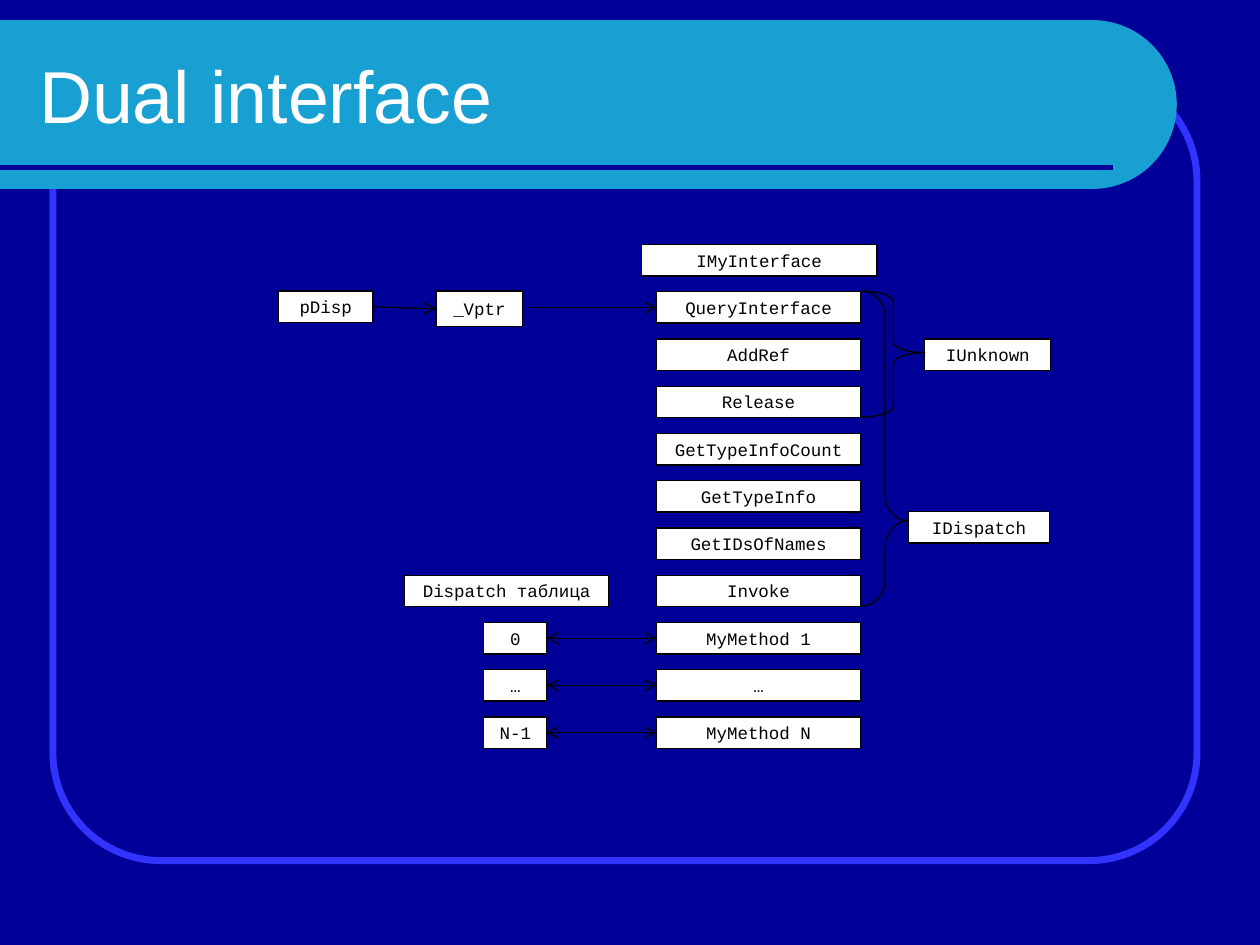
import math

from pptx import Presentation
from pptx.dml.color import RGBColor
from pptx.enum.shapes import MSO_CONNECTOR, MSO_SHAPE
from pptx.enum.text import MSO_ANCHOR, PP_ALIGN
from pptx.oxml.ns import qn
from pptx.util import Inches, Pt

RECTANGLE = MSO_SHAPE.RECTANGLE
ROUNDED = MSO_SHAPE.ROUNDED_RECTANGLE
RIGHT_BRACE = MSO_SHAPE.RIGHT_BRACE
STRAIGHT = MSO_CONNECTOR.STRAIGHT
LEFT_SIDE, RIGHT_SIDE = 1, 3

COLORS = {
    "navy": "000099",
    "band": "17A0D1",
    "frame": "3333FF",
    "white": "FFFFFF",
    "black": "000000",
}
COLORS = {name: RGBColor.from_string(value) for name, value in COLORS.items()}

FIRST_ROW, ROW_STEP, BOX_HEIGHT = 1.94, 0.375, 0.25
METHOD_LEFT, METHOD_WIDTH = 5.21, 1.62

deck = Presentation()
deck.slide_width, deck.slide_height = Inches(10), Inches(7.5)
page = deck.slides.add_slide(deck.slide_layouts[5])
page.background.fill.solid()
page.background.fill.fore_color.rgb = COLORS["navy"]
shapes = page.shapes


def add_box(text, left, top, width, height=BOX_HEIGHT, size=10, font="Courier New"):
    box = shapes.add_shape(RECTANGLE, Inches(left), Inches(top), Inches(width), Inches(height))
    box.shadow.inherit = False
    box.fill.solid()
    box.fill.fore_color.rgb = COLORS["white"]
    box.line.color.rgb = COLORS["black"]
    box.line.width = Pt(0.75)
    frame = box.text_frame
    frame.word_wrap = True
    frame.vertical_anchor = MSO_ANCHOR.MIDDLE
    para = frame.paragraphs[0]
    para.alignment = PP_ALIGN.CENTER
    span = para.add_run()
    span.text = text
    span.font.size = Pt(size)
    span.font.name = font
    span.font.color.rgb = COLORS["black"]
    return box


def add_line(start, end, color="black", width=0.75, arrows=()):
    line = shapes.add_connector(STRAIGHT, *(Inches(value) for value in start + end))
    line.line.color.rgb = COLORS[color]
    line.line.width = Pt(width)
    for arrow in arrows:
        tip = line.line._get_or_add_ln().makeelement(qn(f"a:{arrow}"), {"type": "arrow"})
        line.line._get_or_add_ln().append(tip)
    properties = line._element.spPr
    properties.append(properties.makeelement(qn("a:effectLst"), {}))
    return line


frame = shapes.add_shape(ROUNDED, Inches(0.42), Inches(0.58), Inches(9.08), Inches(6.25))
frame.adjustments[0] = 0.137
frame.shadow.inherit = False
frame.fill.background()
frame.line.color.rgb = COLORS["frame"]
frame.line.width = Pt(4)

radius, center_x, center_y = 0.67, 8.67, 0.83
angles = [math.radians(degrees) for degrees in range(-90, 91, 3)]
arc = [
    (Inches(center_x + radius * math.cos(angle)), Inches(center_y + radius * math.sin(angle)))
    for angle in angles
]
builder = shapes.build_freeform(0, arc[0][1])
builder.add_line_segments(arc + [(0, arc[-1][1])], close=True)
band = builder.convert_to_shape()
band.shadow.inherit = False
band.fill.solid()
band.fill.fore_color.rgb = COLORS["band"]
band.line.fill.background()

underline = add_line((0, 1.33), (8.83, 1.33), color="navy", width=3)

title = shapes.title
title.left, title.top, title.width, title.height = (
    Inches(value) for value in (0.21, 0.25, 8.77, 1)
)
title.text_frame.vertical_anchor = MSO_ANCHOR.MIDDLE
title.text_frame.text = "Dual interface"
para = title.text_frame.paragraphs[0]
para.alignment = PP_ALIGN.LEFT
para.font.size = Pt(42)
para.font.name = "Arial"
para.font.color.rgb = COLORS["white"]
underline._element.addnext(title._element)

add_box("IMyInterface", 5.09, FIRST_ROW, 1.87)
methods = [
    "QueryInterface", "AddRef", "Release", "GetTypeInfoCount", "GetTypeInfo",
    "GetIDsOfNames", "Invoke", "MyMethod 1", "…", "MyMethod N",
]
method_boxes = [
    add_box(name, METHOD_LEFT, FIRST_ROW + ROW_STEP * row, METHOD_WIDTH)
    for row, name in enumerate(methods, 1)
]

pointer = add_box("pDisp", 2.21, 2.31, 0.75)
table_pointer = add_box("_Vptr", 3.46, 2.31, 0.69, height=0.28)
arrow = add_line((2.96, 2.44), (3.46, 2.44), arrows=["tailEnd"])
arrow.begin_connect(pointer, RIGHT_SIDE)
arrow.end_connect(table_pointer, LEFT_SIDE)
arrow = add_line((4.21, 2.44), (METHOD_LEFT, 2.44), arrows=["tailEnd"])
arrow.end_connect(method_boxes[0], LEFT_SIDE)

add_box("Dispatch таблица", 3.21, FIRST_ROW + ROW_STEP * 7, METHOD_WIDTH)
for row, (number, method_box) in enumerate(zip(["0", "…", "N-1"], method_boxes[7:]), 8):
    top = FIRST_ROW + ROW_STEP * row
    number_box = add_box(number, 3.84, top, 0.5)
    middle = top + BOX_HEIGHT / 2
    arrow = add_line((4.34, middle), (METHOD_LEFT, middle), arrows=["headEnd", "tailEnd"])
    arrow.begin_connect(number_box, RIGHT_SIDE)
    arrow.end_connect(method_box, LEFT_SIDE)

add_box("IUnknown", 7.34, 2.69, 1)
add_box("IDispatch", 7.21, 4.06, 1.12)

for width, height, curve, point in [(0.37, 2.5, 0.56, 0.73), (0.5, 1, 0.17, 0.49)]:
    brace = shapes.add_shape(
        RIGHT_BRACE, Inches(6.84), Inches(2.31), Inches(width), Inches(height)
    )
    brace.adjustments[0] = curve
    brace.adjustments[1] = point
    brace.shadow.inherit = False
    brace.fill.background()
    brace.line.color.rgb = COLORS["black"]
    brace.line.width = Pt(0.75)

deck.save("out.pptx")
